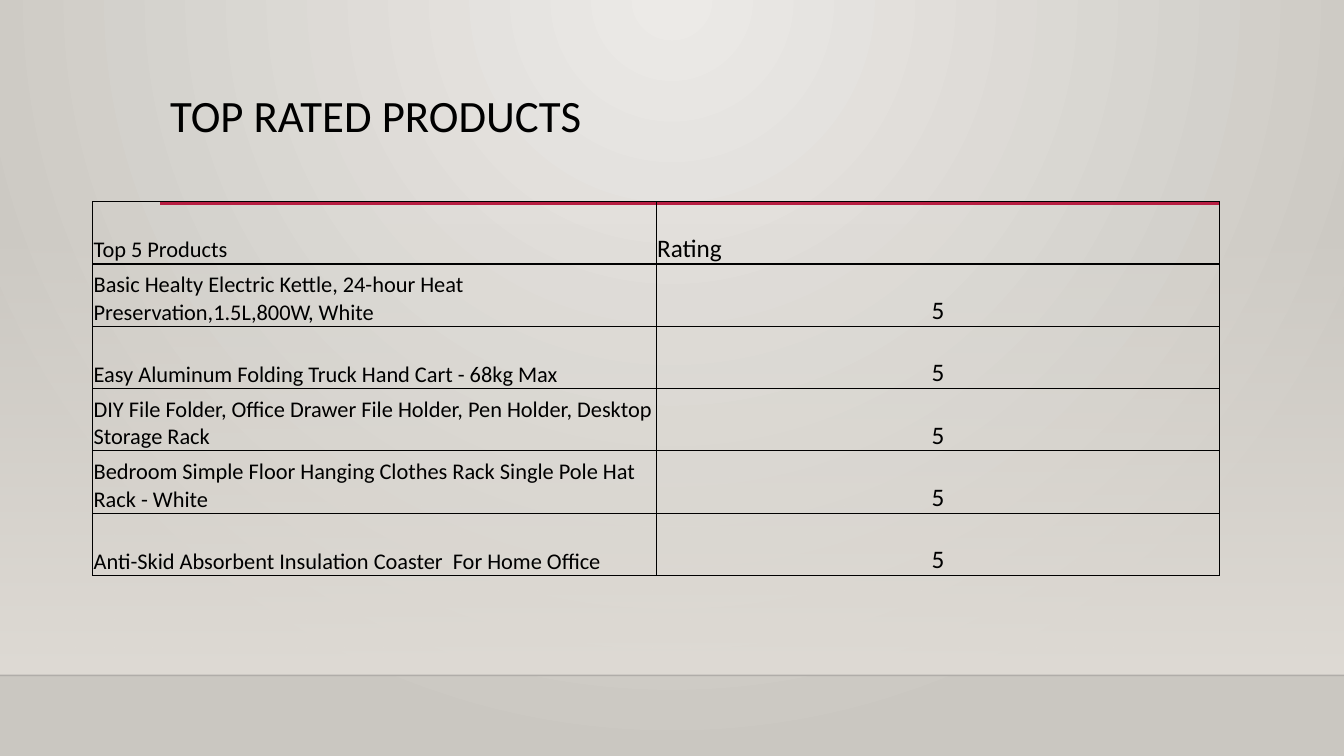
from lxml.etree import SubElement
from pptx import Presentation
from pptx.dml.color import RGBColor
from pptx.enum.shapes import MSO_CONNECTOR, MSO_SHAPE
from pptx.enum.text import MSO_ANCHOR, PP_ALIGN
from pptx.oxml import parse_xml
from pptx.oxml.ns import nsdecls, qn
from pptx.util import Cm, Pt

# Content
TITLE = "TOP RATED PRODUCTS"
ROWS = [
    ("Top 5 Products", "Rating"),
    ("Basic Healty Electric Kettle, 24-hour Heat Preservation,1.5L,800W, White", "5"),
    ("Easy Aluminum Folding Truck Hand Cart - 68kg Max", "5"),
    ("DIY File Folder, Office Drawer File Holder, Pen Holder, Desktop Storage Rack", "5"),
    ("Bedroom Simple Floor Hanging Clothes Rack Single Pole Hat Rack - White", "5"),
    ("Anti-Skid Absorbent Insulation Coaster  For Home Office", "5"),
]

# Style
FONT = "Calibri"
BLACK = RGBColor(0x00, 0x00, 0x00)
EDGE = RGBColor(0x00, 0x00, 0x01)
RED = RGBColor(0xB7, 0x1E, 0x42)
LIGHT = RGBColor(0xEC, 0xEA, 0xE7)
DARK = RGBColor(0xCA, 0xC7, 0xC1)
SAND = RGBColor(0xDF, 0xDB, 0xD5)
SIZES = (16, 18)

# Layout in centimetres
WIDE, HIGH = 33.87, 19.05
FLOOR = 17.02
LEFT, RIGHT = 4.04, 30.73
COL, ROW = 14.2, 1.57


def blend(fill, first, last):
    fill.gradient()
    for stop, color in zip(fill.gradient_stops, (first, last)):
        stop.color.rgb = color


def fade(node, value):
    SubElement(node, qn("a:alpha"), val=str(value * 1000))


def rule(slide, x1, x2, y, color, width):
    line = slide.shapes.add_connector(
        MSO_CONNECTOR.STRAIGHT, Cm(x1), Cm(y), Cm(x2), Cm(y))
    line.line.color.rgb = color
    line.line.width = Pt(width)
    SubElement(line._element.spPr, qn("a:effectLst"))
    return line


def style(para, size):
    para.font.name = FONT
    para.font.size = Pt(size)
    para.font.color.rgb = BLACK


def frame(cell):
    props = cell._tc.get_or_add_tcPr()
    for spot, side in enumerate("LRTB"):
        props.insert(spot, parse_xml(
            f'<a:ln{side} {nsdecls("a")} w="12700"><a:solidFill>'
            f'<a:srgbClr val="{BLACK}"/></a:solidFill></a:ln{side}>'))


def main():
    deck = Presentation()
    deck.slide_width, deck.slide_height = Cm(WIDE), Cm(HIGH)
    slide = deck.slides.add_slide(deck.slide_layouts[6])

    # Background glow from the top centre
    blend(slide.background.fill, LIGHT, DARK)
    grad = slide._element.find(".//" + qn("a:gradFill"))
    grad.replace(grad.find(qn("a:lin")), parse_xml(
        f'<a:path {nsdecls("a")} path="circle">'
        '<a:fillToRect l="43000" t="0" r="43000" b="100000"/></a:path>'))

    # Wall and floor edge
    top = 5.61
    wall = slide.shapes.add_shape(
        MSO_SHAPE.RECTANGLE, 0, Cm(top), Cm(WIDE), Cm(FLOOR - top))
    wall.shadow.inherit = False
    wall.line.fill.background()
    blend(wall.fill, SAND, SAND)
    wall.fill.gradient_angle = 270
    fade(wall._element.find(".//" + qn("a:srgbClr")), 0)
    edge = rule(slide, 0, WIDE, FLOOR, EDGE, 1)
    fade(edge._element.find(".//" + qn("a:srgbClr")), 20)

    # Title and its red line
    rule(slide, LEFT, RIGHT, 5.13, RED, 2.5)
    box = slide.shapes.add_textbox(Cm(LEFT), Cm(2.24), Cm(26.67), Cm(2.92))
    box.text_frame.word_wrap = True
    head = box.text_frame.paragraphs[0]
    head.text = TITLE
    head.line_spacing = 0.9
    style(head, 32)

    # Ratings table
    count = len(ROWS)
    table = slide.shapes.add_table(
        count, 2, Cm(2.34), Cm(5.08), Cm(2 * COL), Cm(count * ROW)).table
    table.first_row = table.horz_banding = False
    for col in table.columns:
        col.width = Cm(COL)
    for r, texts in enumerate(ROWS):
        table.rows[r].height = Cm(ROW)
        for c, text in enumerate(texts):
            cell = table.cell(r, c)
            cell.fill.background()
            frame(cell)
            cell.vertical_anchor = MSO_ANCHOR.BOTTOM
            cell.margin_left = cell.margin_right = cell.margin_top = Cm(0.02)
            cell.margin_bottom = 0
            para = cell.text_frame.paragraphs[0]
            para.text = text
            style(para, SIZES[c])
            if r and c:
                para.alignment = PP_ALIGN.CENTER

    deck.save("out.pptx")


if __name__ == "__main__":
    main()
